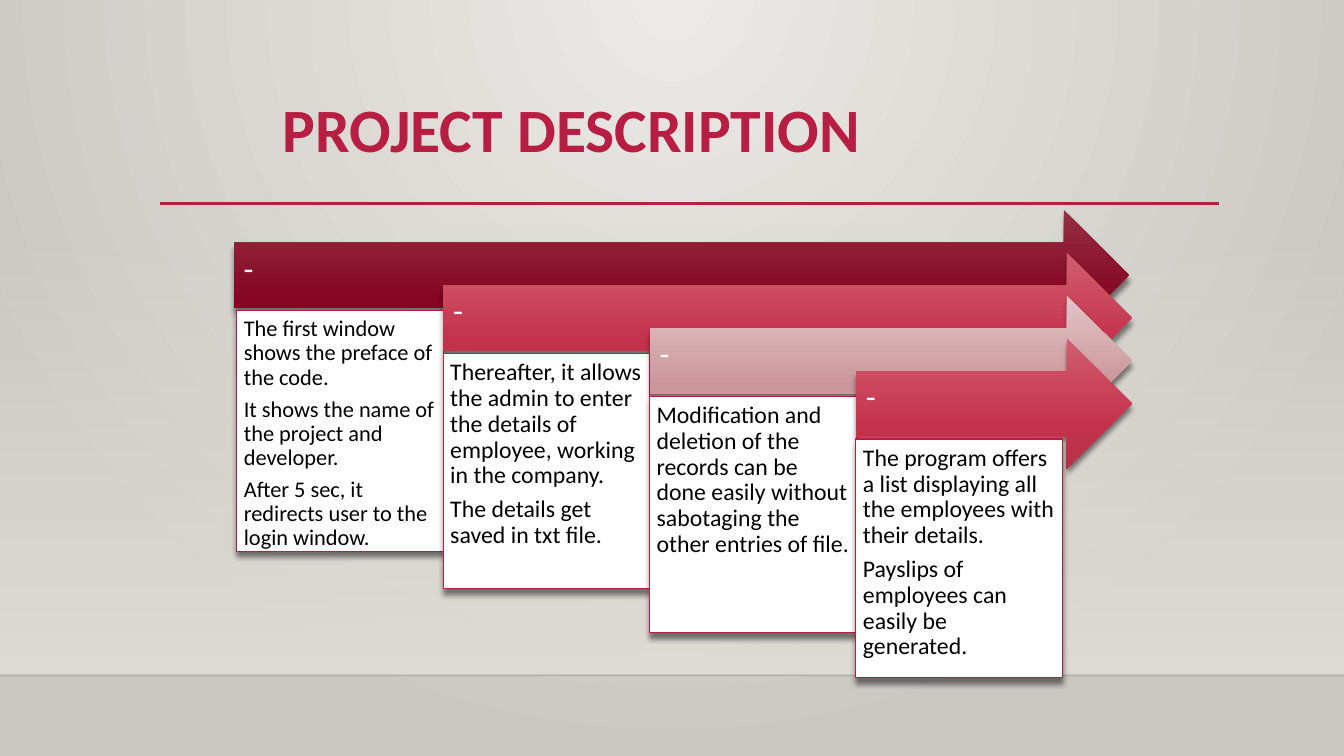
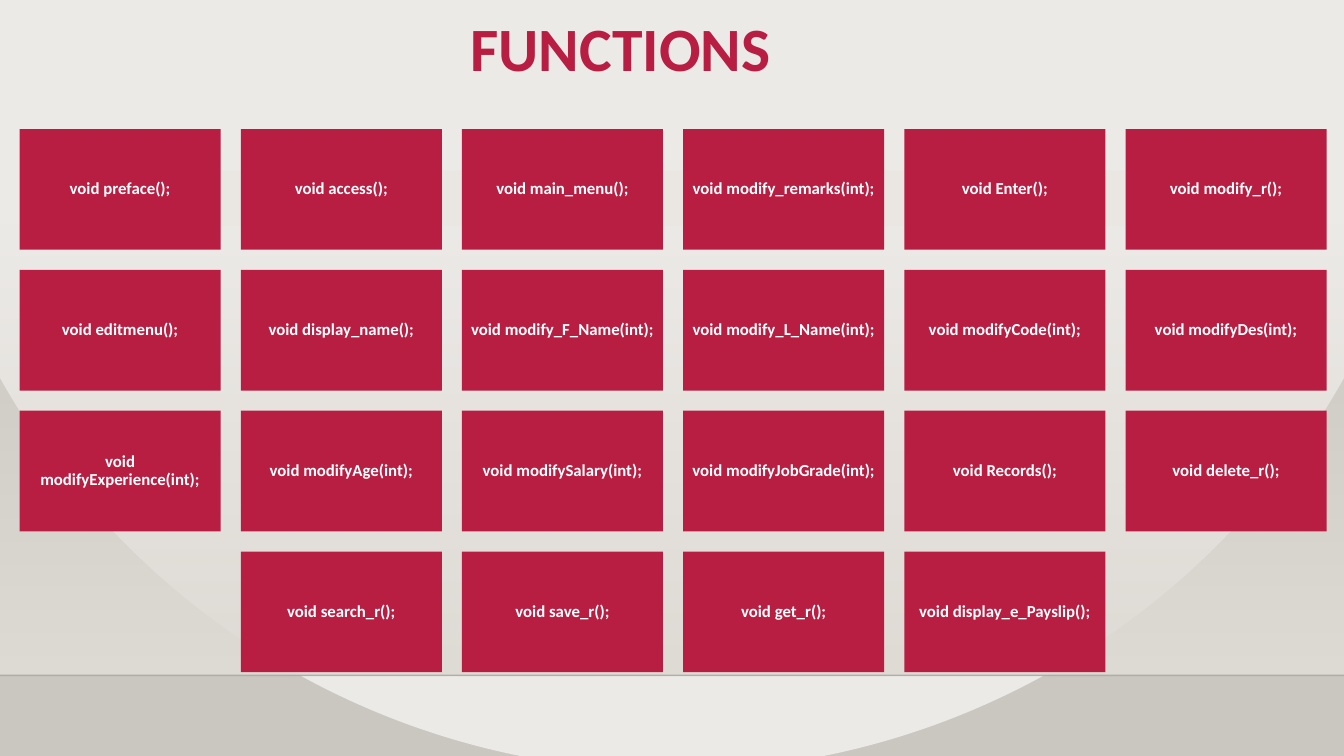
"""Build two slides on a payroll project: its description and its functions."""
from pptx import Presentation
from pptx import util as u
from pptx.dml.color import RGBColor
from pptx.enum import shapes, text
from pptx.oxml import parse_xml
from pptx.oxml.ns import nsdecls, qn

Pt = u.Pt
CRIMSON, WHITE, BLACK = "B71E42", "FFFFFF", "000000"
DOWNWARD = f'<a:lin {nsdecls("a")} ang="5400000" scaled="0"/>'
FROM_TOP = (f'<a:path {nsdecls("a")} path="circle">'
            '<a:fillToRect l="43000" t="0" r="43000" b="100000"/></a:path>')
SHADOW = (f'<a:outerShdw {nsdecls("a")} blurRad="50800" dist="50800" dir="5400000" rotWithShape="0">'
          '<a:srgbClr val="000000"><a:alpha val="48000"/></a:srgbClr></a:outerShdw>')


def paint(fill, *stops, course=DOWNWARD):
    if len(stops) == 1:
        fill.solid()
        fill.fore_color.rgb = RGBColor.from_string(stops[0])
        return
    fill.gradient()
    gradient = fill._xPr.find(qn("a:gradFill"))
    for child in list(gradient):
        gradient.remove(child)
    marks = "".join(
        f'<a:gs pos="{place * 1000}"><a:srgbClr val="{colour}">'
        f'<a:alpha val="{opacity * 1000}"/></a:srgbClr></a:gs>'
        for place, colour, opacity in stops)
    gradient.append(parse_xml(f'<a:gsLst {nsdecls("a")}>{marks}</a:gsLst>'))
    gradient.append(parse_xml(course))


def write(shape, *paragraphs, size, colour, bold=False, align=text.PP_ALIGN.LEFT,
          anchor=text.MSO_ANCHOR.TOP, insets=(7.2, 3.6, 7.2, 3.6), after=0.35):
    frame = shape.text_frame
    frame.word_wrap = True
    frame.vertical_anchor = anchor
    frame.margin_left, frame.margin_top, frame.margin_right, frame.margin_bottom = map(Pt, insets)
    for number, words in enumerate(paragraphs):
        paragraph = frame.add_paragraph() if number else frame.paragraphs[0]
        paragraph.alignment = align
        paragraph.line_spacing = 0.9
        paragraph.space_after = Pt(after * size)
        run = paragraph.add_run()
        run.text = words
        run.font.name = "Calibri"
        run.font.size = Pt(size)
        run.font.bold = bold
        paint(run.font.fill, colour)


prs = Presentation()
prs.slide_width, prs.slide_height = Pt(960), Pt(540)

slides = []
for heading, left, top, align, glow_end, rules in [
    ("PROJECT DESCRIPTION", 30.2, 67.7, text.PP_ALIGN.CENTER, 0,
     [(0, 960, 482.4, "000001", 1, 20), (114.5, 871, 145.4, CRIMSON, 2.5, 100)]),
    ("FUNCTIONS", 329, 9.4, text.PP_ALIGN.LEFT, 100,
     [(0, 960, 482.4, "000001", 1, 20)]),
]:
    slide = prs.slides.add_slide(prs.slide_layouts[6])
    slides.append(slide)
    paint(slide.background.fill, (glow_end, "ECEAE7", 100), (100, "CAC7C1", 100), course=FROM_TOP)

    wall = slide.shapes.add_shape(shapes.MSO_SHAPE.RECTANGLE, 0, Pt(159.1), Pt(960), Pt(323.3))
    wall.shadow.inherit = False
    wall.line.fill.background()
    paint(wall.fill, (0, "DFDBD5", 0), (100, "DFDBD5", 100))

    for start, end, height, colour, weight, opacity in rules:
        rule = slide.shapes.add_connector(
            shapes.MSO_CONNECTOR.STRAIGHT, Pt(start), Pt(height), Pt(end), Pt(height))
        rule.line.width = Pt(weight)
        paint(rule.line.fill, colour)
        properties = rule._element.spPr
        properties.find(".//" + qn("a:srgbClr")).append(
            parse_xml(f'<a:alpha {nsdecls("a")} val="{opacity * 1000}"/>'))
        properties.append(parse_xml(f'<a:effectLst {nsdecls("a")}/>'))

    title = slide.shapes.add_textbox(Pt(left), Pt(top), Pt(756), Pt(82.8))
    write(title, heading, size=44, colour=CRIMSON, bold=True, align=align, after=0)

description, functions = slides

ROSE = ("D15D70", "C4314A", "B4344A")
steps = [
    (("952F40", "850523", "7E0421"), -2.2, 172, 16, [
        "The first window shows the preface of the code.",
        "It shows the name of the project and developer.",
        "After 5 sec, it redirects user to the login window."]),
    (ROSE, 0, 168, 17, [
        "Thereafter, it allows the admin to enter the details of employee, working in the company.",
        "The details get saved in txt file."]),
    (("E3C4C7", "CA969B", "BF8F94"), 0, 169, 17, [
        "Modification and deletion of the records can be done easily without "
        "sabotaging the other entries of file."]),
    (ROSE, 0, 170.6, 17, [
        "The program offers a list displaying all the employees with their details.",
        "Payslips of employees can easily be generated."]),
]
for index, (shades, shift, depth, size, details) in enumerate(steps):
    left, top = 169.2 + 147.4 * index, 150 + 30.6 * index
    arrow = description.shapes.add_shape(
        shapes.MSO_SHAPE.RIGHT_ARROW, Pt(left + shift), Pt(top), Pt(808.6 - left), Pt(93))
    paint(arrow.fill, *[(place, shade, 100) for place, shade in zip((0, 69, 100), shades)])
    arrow.line.fill.background()
    write(arrow, "-", size=23, colour=WHITE, anchor=text.MSO_ANCHOR.MIDDLE,
          insets=(7.2, 7.2, 20.2, 15.1))

    card = description.shapes.add_shape(
        shapes.MSO_SHAPE.RECTANGLE, Pt(left), Pt(top + 71.8), Pt(147.6), Pt(depth))
    paint(card.fill, WHITE)
    paint(card.line.fill, CRIMSON)
    card.line.width = Pt(0.75)
    write(card, *details, size=size, colour=BLACK, insets=(5, 5, 5, 5))

    for part in (arrow, card):
        part.shadow.inherit = False
        part._element.spPr.find(qn("a:effectLst")).append(parse_xml(SHADOW))

strip = functions.shapes.add_shape(
    shapes.MSO_SHAPE.RECTANGLE, Pt(90.7), Pt(121.7), Pt(814.3), Pt(39.6))
strip.shadow.inherit = False
strip.line.fill.background()
paint(strip.fill, "EAE7E3")

COLUMNS = 6
prototypes = [
    ["preface()", "access()", "main_menu()", "modify_remarks(int)", "Enter()", "modify_r()"],
    ["editmenu()", "display_name()", "modify_F_Name(int)", "modify_L_Name(int)",
     "modifyCode(int)", "modifyDes(int)"],
    ["modifyExperience(int)", "modifyAge(int)", "modifySalary(int)", "modifyJobGrade(int)",
     "Records()", "delete_r()"],
    ["search_r()", "save_r()", "get_r()", "display_e_Payslip()"],
]
for row, signatures in enumerate(prototypes):
    indent = (COLUMNS - len(signatures)) / 2
    for column, signature in enumerate(signatures):
        tile = functions.shapes.add_shape(
            shapes.MSO_SHAPE.RECTANGLE, Pt(14 + 158 * (indent + column)), Pt(92.2 + 100.6 * row),
            Pt(143.6), Pt(86.2))
        tile.shadow.inherit = False
        tile.line.fill.background()
        paint(tile.fill, CRIMSON)
        write(tile, f"void {signature};", size=12, colour=WHITE, bold=True,
              align=text.PP_ALIGN.CENTER, anchor=text.MSO_ANCHOR.MIDDLE,
              insets=(3.6, 3.6, 3.6, 3.6))

prs.save("out.pptx")
